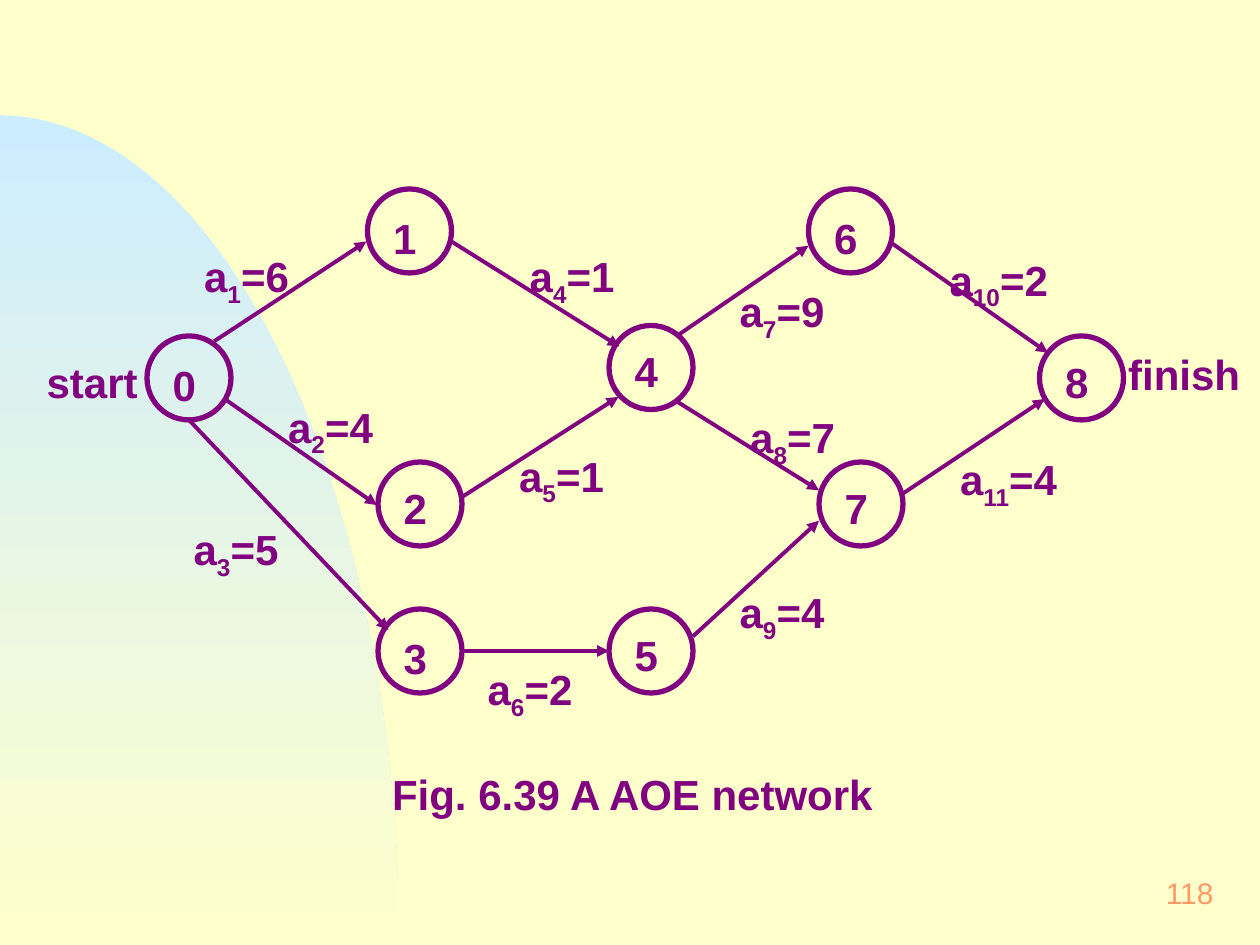
from math import cos, pi, sin

from lxml.etree import SubElement as Sub
from pptx import Presentation
from pptx.dml.color import RGBColor as Rgb
from pptx.enum.shapes import MSO_CONNECTOR as Link, MSO_SHAPE as Shape
from pptx.enum.text import MSO_ANCHOR as Anchor, PP_ALIGN as Align
from pptx.oxml.ns import qn
from pptx.util import Inches, Pt

INK, CREAM, SKY, CORAL = "800080", "FFFFCC", "CCECFF", "FF9966"


def paint(code):
    return Rgb.from_string(code)


def unit(n):
    """The slide is a grid of 120 columns by 90 rows, 12 to the inch."""
    return Inches(n / 12)


class Board:
    font = "Arial"
    size = 24
    disc = 8

    def __init__(self, deck):
        self.slide = deck.slides.add_slide(deck.slide_layouts[6])
        self.shapes = self.slide.shapes
        back = self.slide.background.fill
        back.solid()
        back.fore_color.rgb = paint(CREAM)

    def arc(self, wide, high, steps=90):
        """Quarter ellipse around the bottom left corner."""
        turns = [pi / 2 * i / steps for i in range(steps + 1)]
        rim = [(unit(wide * sin(t)), unit(90 - high * cos(t))) for t in turns]
        pen = self.shapes.build_freeform(*rim[0])
        pen.add_line_segments(rim[1:] + [(0, unit(90))], close=True)
        form = pen.convert_to_shape()
        form.shadow.inherit = False
        form.line.fill.background()
        form.fill.gradient()
        form.fill.gradient_angle = 270
        for stop, code in zip(form.fill.gradient_stops, (SKY, CREAM)):
            stop.color.rgb = paint(code)

    def text(self, x, y, wide, high, runs, size=size, hue=INK, bold=True,
             side=Align.LEFT, hold=Anchor.TOP):
        """Each run is a pair: its words, and whether it is a subscript."""
        frame = self.shapes.add_textbox(*map(unit, (x, y, wide, high))).text_frame
        frame.word_wrap = True
        frame.vertical_anchor = hold
        frame.margin_left = frame.margin_right = Inches(0.12)
        frame.margin_top = Inches(0.1 if hold == Anchor.TOP else 0.06)
        frame.margin_bottom = Inches(0.06)
        para = frame.paragraphs[0]
        para.alignment = side
        for words, low in runs:
            run = para.add_run()
            run.text = words
            font = run.font
            font.name, font.size, font.bold = self.font, Pt(size), bold
            font.color.rgb = paint(hue)
            if low:
                run._r.get_or_add_rPr().set("baseline", "-25000")

    def node(self, x, y, name, drop):
        ring = self.shapes.add_shape(
            Shape.OVAL, *map(unit, (x, y, self.disc, self.disc)))
        ring.shadow.inherit = False
        ring.fill.background()
        ring.line.color.rgb = paint(INK)
        ring.line.width = Pt(3)
        self.text(x + 1, y + drop, 5, 6.2, [(name, False)])

    def arrow(self, start, end):
        line = self.shapes.add_connector(Link.STRAIGHT, *map(unit, start + end))
        line.line.color.rgb = paint(INK)
        line.line.width = Pt(2.25)
        props = line._element.spPr
        Sub(props.get_or_add_ln(), qn("a:tailEnd"), type="triangle")
        Sub(props, qn("a:effectLst"))

    def label(self, x, y, index, cost):
        runs = [("a", False), (str(index), True), (f"={cost}", False)]
        self.text(x, y, 14, 7, runs)


# Events: column, row, drop of the number
NODES = [
    (14, 32, 1), (35, 18, 1), (36, 44, 0.75), (36, 58, 1), (58, 31, 0.75),
    (58, 58, 0.75), (77, 18, 1), (78, 44, 0.75), (99, 32, 0.75),
]

# Activities: arrow start, arrow end, label place, cost
EDGES = [
    ((20.4, 32.5), (34.9, 23), (18, 22.7), 6),
    ((21.4, 38), (35.9, 48.1), (26, 37), 4),
    ((18, 40), (37, 60), (17, 48.7), 5),
    ((43, 23), (59, 33), (49, 22.7), 1),
    ((43.9, 47.4), (58.9, 37.8), (48, 41.7), 1),
    ((44, 62), (58, 62), (45, 62), 2),
    ((64.6, 31.9), (77, 23.4), (69, 26), 9),
    ((64.4, 38.2), (78, 46.7), (70, 38), 7),
    ((66, 60.6), (78, 49.6), (69, 54.7), 4),
    ((84.7, 23), (99.8, 33.6), (89, 23), 2),
    ((86, 47), (99.5, 38), (90, 42), 4),
]


def main():
    deck = Presentation()
    deck.slide_width, deck.slide_height = unit(120), unit(90)
    board = Board(deck)

    # Backdrop and page number
    board.arc(38, 79)
    board.text(92, 82, 25, 6, [("118", False)], size=17, hue=CORAL,
               bold=False, side=Align.RIGHT, hold=Anchor.MIDDLE)

    # Network
    for name, (x, y, drop) in enumerate(NODES):
        board.node(x, y, str(name), drop)
    for index, (start, end, place, cost) in enumerate(EDGES, 1):
        board.arrow(start, end)
        board.label(*place, index, cost)

    # End marks and caption
    board.text(3, 32.75, 14, 6.2, [("start", False)])
    board.text(106, 32, 14, 6.2, [("finish", False)])
    board.text(35.9, 72, 50, 6.2, [("Fig. 6.39 A AOE network", False)])

    deck.save("out.pptx")


if __name__ == "__main__":
    main()
